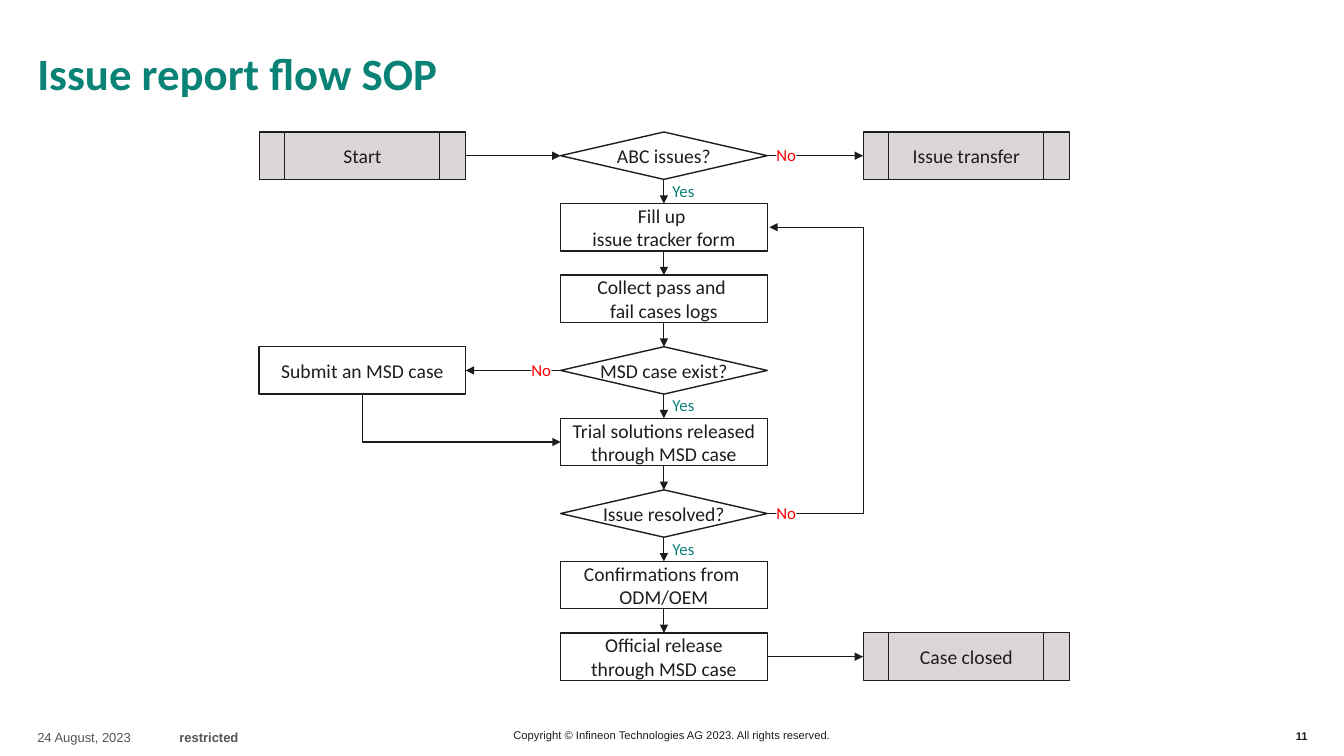
from lxml import etree
from pptx import Presentation
from pptx.dml.color import RGBColor
from pptx.enum.shapes import MSO_CONNECTOR, MSO_SHAPE
from pptx.enum.text import MSO_ANCHOR, MSO_AUTO_SIZE, PP_ALIGN
from pptx.oxml.ns import qn
from pptx.util import Pt

PX = 9144
PROCESS = MSO_SHAPE.RECTANGLE
DECISION = MSO_SHAPE.FLOWCHART_DECISION
TERMINAL = MSO_SHAPE.FLOWCHART_PREDEFINED_PROCESS
STRAIGHT, ELBOW = MSO_CONNECTOR.STRAIGHT, MSO_CONNECTOR.ELBOW
LEFT, CENTER, RIGHT = PP_ALIGN.LEFT, PP_ALIGN.CENTER, PP_ALIGN.RIGHT
MIDDLE, TOP, BOTTOM = MSO_ANCHOR.MIDDLE, MSO_ANCHOR.TOP, MSO_ANCHOR.BOTTOM
TOP_SIDE, LEFT_SIDE, BOTTOM_SIDE, RIGHT_SIDE = range(4)
COLORS = {"teal": "0A8276", "ink": "1D1D1D", "line": "1C1C1C", "terminal": "DCD5D7",
          "white": "FFFFFF", "red": "FF0000", "grey": "575352"}

NODE_WIDTH, NODE_HEIGHT, ROW_PITCH = 205, 47, 71
COLUMNS = [0, 299, 599]
NODES = {
    "start": (TERMINAL, 0, 0, "Start"),
    "ours": (DECISION, 1, 0, "ABC issues?"),
    "transfer": (TERMINAL, 2, 0, "Issue transfer"),
    "form": (PROCESS, 1, 1, "Fill up \nissue tracker form"),
    "logs": (PROCESS, 1, 2, "Collect pass and \nfail cases logs"),
    "submit": (PROCESS, 0, 3, "Submit an MSD case"),
    "exists": (DECISION, 1, 3, "MSD case exist?"),
    "trial": (PROCESS, 1, 4, "Trial solutions released\vthrough MSD case"),
    "resolved": (DECISION, 1, 5, "Issue resolved?"),
    "confirm": (PROCESS, 1, 6, "Confirmations from \nODM/OEM"),
    "release": (PROCESS, 1, 7, "Official release\vthrough MSD case"),
    "closed": (TERMINAL, 2, 7, "Case closed"),
}
MAIN_PATH = ["ours", "form", "logs", "exists", "trial", "resolved", "confirm", "release"]
SIDE_ARROWS = [
    ("start", RIGHT_SIDE, "ours", LEFT_SIDE),
    ("ours", RIGHT_SIDE, "transfer", LEFT_SIDE),
    ("exists", LEFT_SIDE, "submit", RIGHT_SIDE),
    ("release", RIGHT_SIDE, "closed", LEFT_SIDE),
]
NO_SIDES = {"ours": RIGHT_SIDE, "exists": LEFT_SIDE, "resolved": RIGHT_SIDE}


def emu(*lengths):
    """Turn px lengths into EMU."""
    return [round(length * PX) for length in lengths]


def rgb(name):
    """Look up a colour by name."""
    return RGBColor.from_string(COLORS[name])


def format_font(font, size, color, name="Calibri", bold=False):
    """Set the look of a font."""
    font.size, font.name, font.bold = Pt(size), name, bold
    font.color.rgb = rgb(color)


def write(shape, text, size, color, name="Calibri", bold=False,
          align=CENTER, anchor=MIDDLE, inset=0, wrap=False):
    """Put formatted text into a shape."""
    frame = shape.text_frame
    frame.text = text
    frame.word_wrap, frame.vertical_anchor = wrap, anchor
    frame.auto_size = MSO_AUTO_SIZE.NONE
    frame.margin_left = frame.margin_top = frame.margin_right = frame.margin_bottom = inset * PX
    for paragraph in frame.paragraphs:
        paragraph.alignment = align
        for run in paragraph.runs:
            format_font(run.font, size, color, name, bold)
    return frame


def add_node(slide, kind, box, text):
    """Add one step of the flow."""
    shape = slide.shapes.add_shape(kind, *emu(*box))
    shape.shadow.inherit = False
    shape.line.color.rgb = rgb("ink")
    if kind == TERMINAL:
        shape.fill.solid()
        shape.fill.fore_color.rgb = rgb("terminal")
        shape.line.width = Pt(0.75)
    else:
        shape.fill.background()
        shape.line.width = Pt(1)
    write(shape, text, 14, "ink", inset=8)
    return shape


def add_arrow(slide, kind, *ends):
    """Add a connector with an arrowhead at its end."""
    connector = slide.shapes.add_connector(kind, *emu(*ends))
    connector.line.color.rgb = rgb("line")
    connector.line.width = Pt(0.75)
    properties = connector._element.spPr
    etree.SubElement(properties.find(qn("a:ln")), qn("a:tailEnd"), type="triangle")
    etree.SubElement(properties, qn("a:effectLst"))
    return connector


def join(slide, source, source_side, target, target_side):
    """Join the sides of two steps with a straight arrow."""
    arrow = add_arrow(slide, STRAIGHT, 0, 0, 0, 0)
    arrow.begin_connect(source, source_side)
    arrow.end_connect(target, target_side)


def add_down_right_arrow(slide, left, top, right, bottom):
    """Add an arrow that goes down and then turns right."""
    width, height = right - left, bottom - top
    center_x, center_y = (left + right) / 2, (top + bottom) / 2
    arrow = add_arrow(slide, ELBOW, center_x + height / 2, center_y - width / 2,
                      center_x - height / 2, center_y + width / 2)
    properties = arrow._element.spPr
    properties.find(qn("a:xfrm")).set("rot", "16200000")
    properties.find(qn("a:prstGeom")).set("prst", "bentConnector2")


def add_loop_arrow(slide, left, bottom, top, reach):
    """Add an arrow that loops back upwards on the right."""
    gap = 2
    arrow = add_arrow(slide, ELBOW, left, bottom, left + gap, top)
    adjustments = arrow._element.spPr.find(qn("a:prstGeom")).get_or_add_avLst()
    etree.SubElement(adjustments, qn("a:gd"), name="adj1",
                     fmla=f"val {round(reach / gap * 100000)}")


def add_answer(slide, left, top, text, color):
    """Add a Yes or No label to an arrow."""
    width = 23 if text == "Yes" else 20
    label = slide.shapes.add_shape(PROCESS, *emu(left, top, width, 20))
    label.shadow.inherit = False
    label.fill.solid()
    label.fill.fore_color.rgb = rgb("white")
    label.line.fill.background()
    frame = write(label, text, 12, color, align=LEFT, anchor=TOP)
    frame.auto_size = MSO_AUTO_SIZE.SHAPE_TO_FIT_TEXT


def add_flow(slide, left, top):
    """Draw the flow chart from its top left corner."""
    boxes = {key: (left + COLUMNS[column], top + row * ROW_PITCH, NODE_WIDTH, NODE_HEIGHT)
             for key, (_, column, row, _) in NODES.items()}
    nodes = {key: add_node(slide, kind, boxes[key], text)
             for key, (kind, _, _, text) in NODES.items()}
    for source, target in zip(MAIN_PATH, MAIN_PATH[1:]):
        join(slide, nodes[source], BOTTOM_SIDE, nodes[target], TOP_SIDE)
    for source, source_side, target, target_side in SIDE_ARROWS:
        join(slide, nodes[source], source_side, nodes[target], target_side)

    half_width, half_height = NODE_WIDTH / 2, NODE_HEIGHT / 2
    main_left = left + COLUMNS[1]
    main_right = main_left + NODE_WIDTH
    add_down_right_arrow(slide, left + half_width, boxes["submit"][1] + NODE_HEIGHT,
                         main_left, boxes["trial"][1] + half_height)
    add_loop_arrow(slide, main_right, boxes["resolved"][1] + half_height,
                   boxes["form"][1] + half_height, left + COLUMNS[2] - main_right)

    for key, side in NO_SIDES.items():
        row_top = boxes[key][1]
        no_left = main_right + 9 if side == RIGHT_SIDE else main_left - 29
        add_answer(slide, no_left, row_top + 13, "No", "red")
        add_answer(slide, main_left + 111, row_top + NODE_HEIGHT + 1, "Yes", "teal")


def add_title(slide, box, text):
    """Place and format the title."""
    title = slide.shapes.title
    title.left, title.top, title.width, title.height = emu(*box)
    write(title, text, 32, "teal", bold=True, align=LEFT, anchor=BOTTOM, wrap=True)
    title.text_frame.margin_bottom = PX


def add_footer(slide, left, top, width):
    """Place the date, the copyright line and the page number."""
    date, notice, number = [
        slide.shapes.add_textbox(*emu(*box)) for box in (
            (left, top + 5, 230, 33),
            (left + 460, top, 339, 39),
            (left + width - 42, top, 42, 40))]
    frame = write(date, "24 August, 2023\trestricted", 9.3, "grey", "Arial", align=LEFT)
    paragraph = frame.paragraphs[0]
    paragraph.text = "24 August, 2023\t"
    paragraph.add_run().text = "restricted"
    tabs = etree.SubElement(paragraph._p.get_or_add_pPr(), qn("a:tabLst"))
    etree.SubElement(tabs, qn("a:tab"), pos=str(141 * PX), algn="l")
    for run, bold in zip(paragraph.runs, (False, True)):
        format_font(run.font, 9.3, "grey", "Arial", bold)
    frame = write(notice, "Copyright © Infineon Technologies AG 2023. All rights reserved.",
                  8, "ink", "Arial")
    frame.paragraphs[0].space_after = Pt(3)
    write(number, "11", 8, "ink", "Arial", bold=True, align=RIGHT, wrap=True)


def main():
    """Build and save the slide."""
    presentation = Presentation()
    presentation.slide_width, presentation.slide_height = emu(1333, 750)
    slide = presentation.slides.add_slide(presentation.slide_layouts[5])
    add_title(slide, (37, 21, 1051, 79), "Issue report flow SOP")
    add_flow(slide, 257, 131)
    add_footer(slide, 37, 710, 1260)
    presentation.save("out.pptx")


if __name__ == "__main__":
    main()
